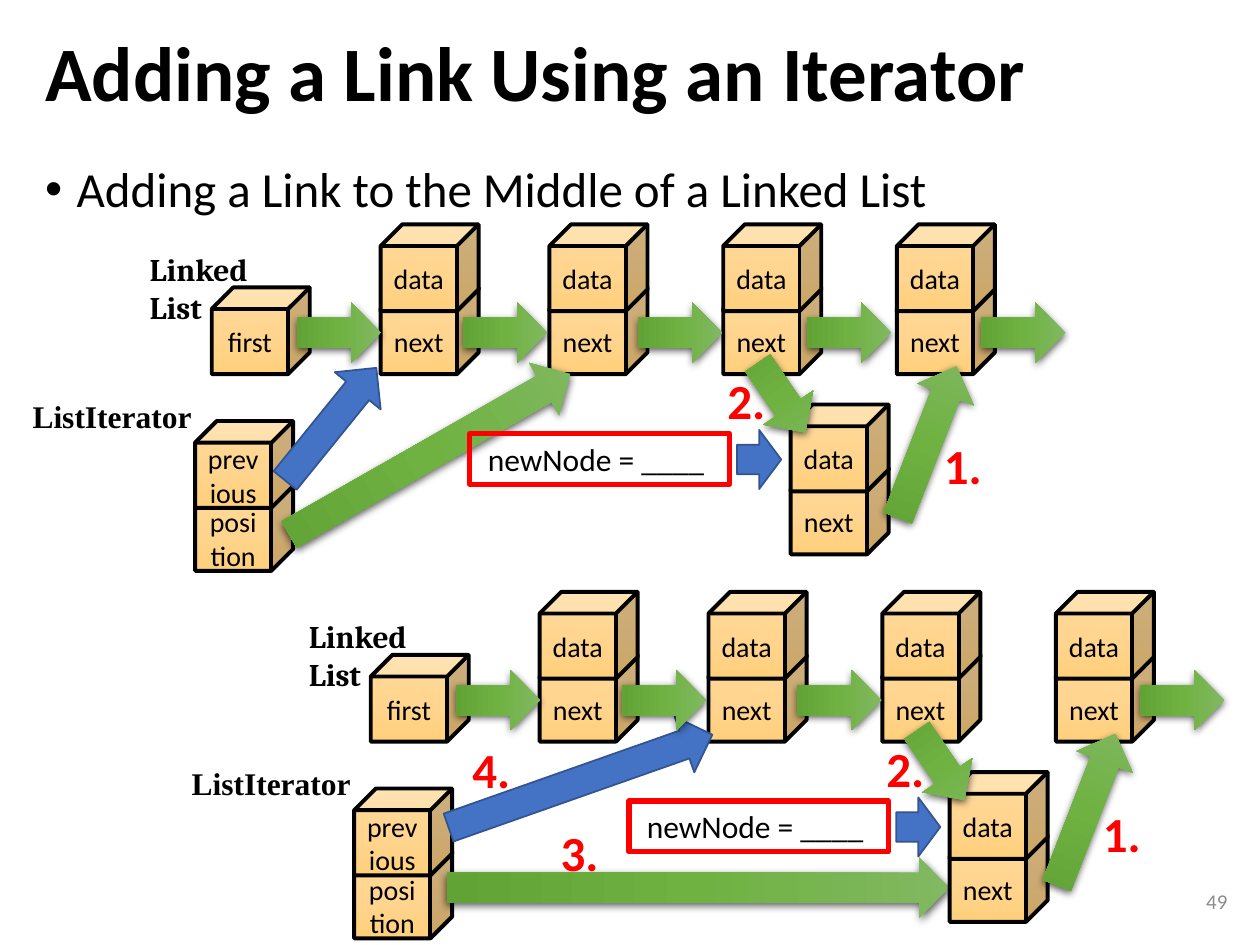
"""Build a slide on adding a link to a linked list through an iterator."""
import pptx
import pptx.dml.color
import pptx.enum.shapes
import pptx.enum.text
import pptx.oxml
import pptx.oxml.ns
import pptx.util
from lxml import etree

Pt = pptx.util.Pt
SHAPES = pptx.enum.shapes.MSO_SHAPE
ALIGN = pptx.enum.text.PP_ALIGN
ANCHOR = pptx.enum.text.MSO_ANCHOR
AUTO_SIZE = pptx.enum.text.MSO_AUTO_SIZE
qn = pptx.oxml.ns.qn

COLORS = {
    "text": "000000", "number": "8C8C8C", "step": "FF0000",
    "blue": "4472C4", "blue_line": "325491",
}
CUBE_GRADIENT = ("FFDB9E", "FFD590", "FFD07C")
LINK_GRADIENT = ("81B861", "6FB242", "62A336")
CUBE_SIZE = (56, 49.6)
CUBE_STEP = 36
NODE_LEFTS = (206, 302.5, 401.8, 501)
ROW_LINKS = {"first": 165, "node 1": 260, "node 2": 360, "node 3": 456.5, "node 4": 556}
SHADOW = (
    '<a:outerShdw xmlns:a="http://schemas.openxmlformats.org/drawingml/2006/main" '
    'blurRad="57150" dist="19050" dir="5400000" algn="ctr" rotWithShape="0">'
    '<a:srgbClr val="000000"><a:alpha val="63000"/></a:srgbClr></a:outerShdw>'
)


def rgb(name):
    """Return the named colour."""
    return pptx.dml.color.RGBColor.from_string(COLORS[name])


def style_paragraph(paragraph, size, font="Calibri", color="text", bold=False, align=None):
    """Set the font and alignment of a paragraph."""
    paragraph.alignment = align
    paragraph.font.size = Pt(size)
    paragraph.font.name = font
    paragraph.font.bold = bold
    paragraph.font.color.rgb = rgb(color)


def fill_gradient(shape, colors):
    """Fill a shape from top to bottom with evenly spaced colours."""
    shape.fill.gradient()
    shape.fill.gradient_angle = 270
    stops = shape._element.spPr.find(".//" + qn("a:gsLst"))
    for stop in list(stops):
        stops.remove(stop)
    for index, color in enumerate(colors):
        position = str(index * 100000 // (len(colors) - 1))
        stop = etree.SubElement(stops, qn("a:gs"), pos=position)
        etree.SubElement(stop, qn("a:srgbClr"), val=color)


def add_shape(slide, kind, left, top, width, height):
    """Add a preset shape without a shadow."""
    shape = slide.shapes.add_shape(kind, Pt(left), Pt(top), Pt(width), Pt(height))
    shape.shadow.inherit = False
    return shape


def add_label(slide, lines, left, top, width, height, size, **style):
    """Add an unwrapped text box with one paragraph for each line."""
    box = slide.shapes.add_textbox(Pt(left), Pt(top), Pt(width), Pt(height))
    frame = box.text_frame
    frame.text = "\n".join(lines)
    frame.word_wrap = False
    frame.auto_size = AUTO_SIZE.SHAPE_TO_FIT_TEXT
    for paragraph in frame.paragraphs:
        style_paragraph(paragraph, size, **style)


def add_cube(slide, text, left, top):
    """Add one labelled cube."""
    cube = add_shape(slide, SHAPES.CUBE, left, top, *CUBE_SIZE)
    fill_gradient(cube, CUBE_GRADIENT)
    cube.line.color.rgb = rgb("text")
    cube.line.width = Pt(2.25)
    cube.text_frame.text = text
    cube.text_frame.vertical_anchor = ANCHOR.MIDDLE
    style_paragraph(cube.text_frame.paragraphs[0], 16, align=ALIGN.CENTER)


def add_stack(slide, upper, lower, left, top):
    """Stack two cubes, the upper one in front."""
    add_cube(slide, lower, left, top + CUBE_STEP)
    add_cube(slide, upper, left, top)


def add_arrow(slide, left, top, width, height, rotation):
    """Add a turned up arrow."""
    arrow = add_shape(slide, SHAPES.UP_ARROW, left, top, width, height)
    arrow.rotation = rotation
    return arrow


def add_link(slide, left, top, length=48.2, rotation=90):
    """Add a green link arrow with a soft shadow."""
    arrow = add_arrow(slide, left, top, 34.6, length, rotation)
    fill_gradient(arrow, LINK_GRADIENT)
    arrow.line.fill.background()
    effects = arrow._element.spPr.find(qn("a:effectLst"))
    effects.append(pptx.oxml.parse_xml(SHADOW))


def add_pointer(slide, left, top, length, rotation):
    """Add a blue reference arrow."""
    arrow = add_arrow(slide, left, top, 33.8, length, rotation)
    arrow.fill.solid()
    arrow.fill.fore_color.rgb = rgb("blue")
    arrow.line.color.rgb = rgb("blue_line")
    arrow.line.width = Pt(1)


def add_new_node_box(slide, left, top):
    """Add the red outlined variable box."""
    box = add_shape(slide, SHAPES.RECTANGLE, left, top, 148.3, 29)
    box.fill.background()
    box.line.color.rgb = rgb("step")
    box.line.width = Pt(3)
    frame = box.text_frame
    frame.text = "newNode = ____ "
    frame.word_wrap = False
    frame.auto_size = AUTO_SIZE.SHAPE_TO_FIT_TEXT
    frame.vertical_anchor = ANCHOR.TOP
    style_paragraph(frame.paragraphs[0], 18, align=ALIGN.CENTER)


def add_diagram(slide, left, top, links, previous, position, steps):
    """Draw one state of the list, its iterator and the new node."""
    for node_left in NODE_LEFTS:
        add_stack(slide, "data", "next", left + node_left, top)
    add_cube(slide, "first", left + 109.5, top + CUBE_STEP)
    add_label(slide, ["Linked", "List"], left + 67, top + 11, 75, 51, 18,
              font="Cambria", bold=True)
    add_label(slide, ["ListIterator"], left, top + 95, 106.6, 29, 18,
              font="Times New Roman", bold=True)
    add_stack(slide, "previous", "position", left + 100, top + 112.4)

    x, y, length, rotation = previous
    add_pointer(slide, left + x, top + y, length, rotation)
    x, y, length, rotation = position
    add_link(slide, left + x, top + y, length, rotation)
    for name in links:
        add_link(slide, left + ROW_LINKS[name], top + 37.8)

    add_stack(slide, "data", "next", left + 440.3, top + 103)
    add_new_node_box(slide, left + 257, top + 119.5)
    add_pointer(slide, left + 405.4, top + 121.8, 25.2, 90)
    add_link(slide, left + 501, top + 78, 92.9, 21.2)
    add_link(slide, left + 417.8, top + 75, rotation=145.6)
    for text, (x, y) in steps.items():
        add_label(slide, [text], left + x, top + y, 43, 41, 28, color="step", bold=True)


def add_heading(slide, left, top, width):
    """Place the title and the bullet below it."""
    title = slide.shapes.title
    title.left, title.top, title.width, title.height = Pt(left), Pt(top), Pt(width), Pt(66)
    title.text_frame.text = "Adding a Link Using an Iterator"
    title.text_frame.vertical_anchor = ANCHOR.MIDDLE
    paragraph = title.text_frame.paragraphs[0]
    paragraph.line_spacing = 0.9
    style_paragraph(paragraph, 44, bold=True, align=ALIGN.LEFT)

    body = slide.shapes.add_textbox(Pt(left), Pt(top + 80), Pt(width), Pt(430))
    body.text_frame.word_wrap = True
    paragraph = body.text_frame.paragraphs[0]
    paragraph.text = "Adding a Link to the Middle of a Linked List"
    paragraph.line_spacing = 0.9
    properties = paragraph._p.get_or_add_pPr()
    properties.set("marL", str(Pt(18)))
    properties.set("indent", str(-Pt(18)))
    etree.SubElement(properties, qn("a:buFont"), typeface="Arial")
    etree.SubElement(properties, qn("a:buChar"), char="•")
    style_paragraph(paragraph, 28)


def add_slide_number(slide, left, top, width, height):
    """Place the slide number."""
    box = slide.shapes.add_textbox(Pt(left), Pt(top), Pt(width), Pt(height))
    box.text_frame.text = "49"
    box.text_frame.vertical_anchor = ANCHOR.MIDDLE
    style_paragraph(box.text_frame.paragraphs[0], 12, color="number", align=ALIGN.RIGHT)


def main():
    """Build and save the presentation."""
    presentation = pptx.Presentation()
    presentation.slide_width, presentation.slide_height = Pt(720), Pt(540)
    slide = presentation.slides.add_slide(presentation.slide_layouts[5])
    add_heading(slide, 18.7, 10.8, 682)
    add_slide_number(slide, 546.5, 500.4, 162, 28.8)
    steps = {"1.": (520.8, 117.3), "2.": (397, 80)}
    add_diagram(slide, 11.5, 128.2, ROW_LINKS, (160.6, 72.8, 82.8, 39),
                (216.7, 38.9, 185, 60.3), steps)
    add_diagram(slide, 102.4, 338.2, [name for name in ROW_LINKS if name != "node 3"],
                (212.4, 28.3, 159.8, 70.6), (279.2, 25.4, 287.3, 90),
                {**steps, "3.": (210.8, 128.4), "4.": (160.4, 80.8)})
    presentation.save("out.pptx")


if __name__ == "__main__":
    main()
